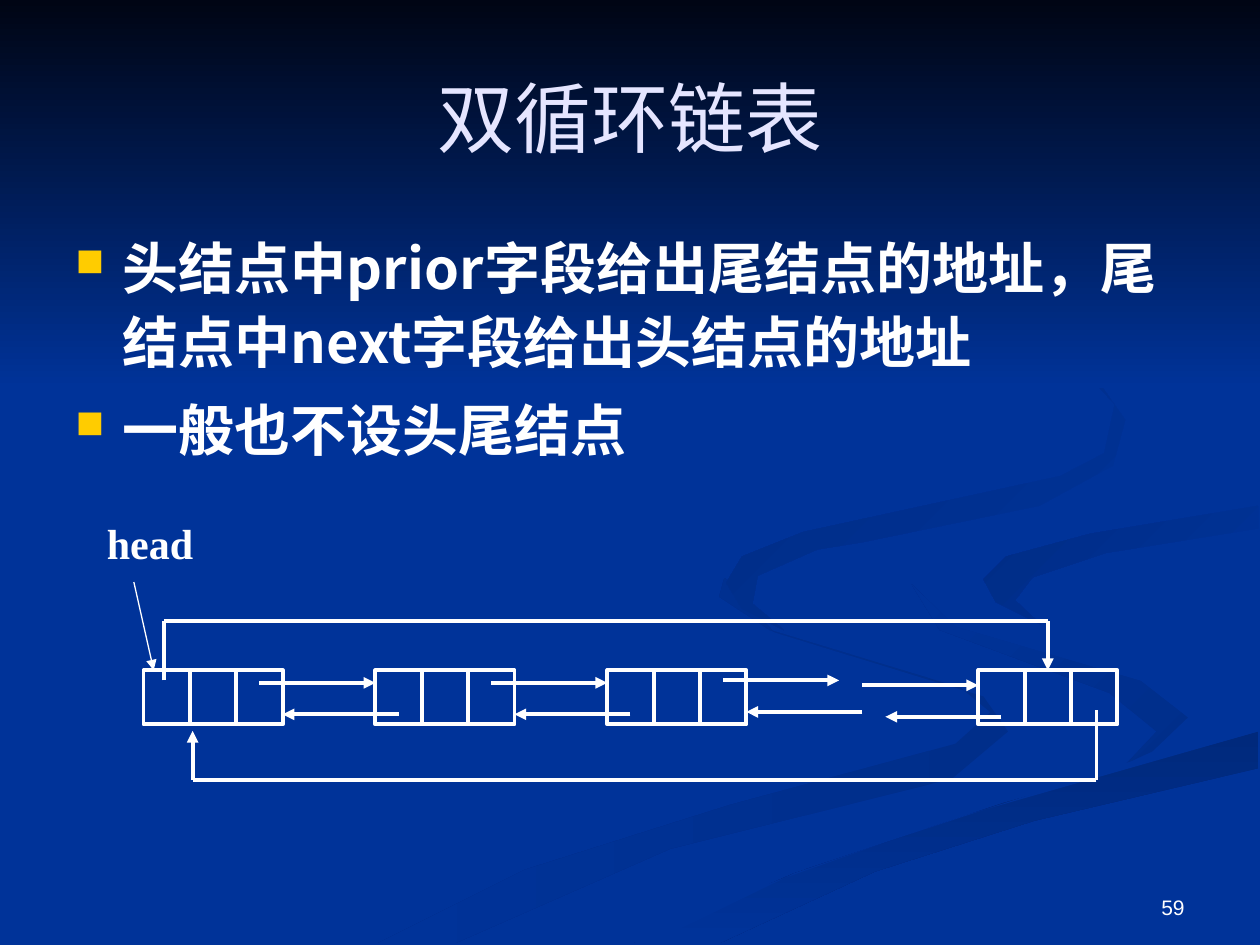
from lxml import etree
from pptx import Presentation
from pptx.dml.color import RGBColor
from pptx.enum.shapes import MSO_CONNECTOR, MSO_SHAPE
from pptx.enum.text import MSO_ANCHOR, PP_ALIGN
from pptx.oxml.ns import qn
from pptx.util import Pt

STRAIGHT = MSO_CONNECTOR.STRAIGHT
RECT = MSO_SHAPE.RECTANGLE
MIDDLE, TOP, BOTTOM = MSO_ANCHOR.MIDDLE, MSO_ANCHOR.TOP, MSO_ANCHOR.BOTTOM
LEFT, CENTER, RIGHT = PP_ALIGN.LEFT, PP_ALIGN.CENTER, PP_ALIGN.RIGHT

BLUE, WHITE = "003399", "FFFFFF"

# Ribbons, back to front: start colour, end colour, clockwise angle, corners
RIBBONS = [
    ("002E8A", BLUE, 180, [
        (562, 398), (442, 361), (414, 330), (411, 341), (440, 360), (549, 393), (566, 407),
        (546, 425), (417, 460), (300, 497), (216, 539), (260, 539), (383, 485), (544, 445),
        (576, 418)]),
    ("002E8A", BLUE, 225, [
        (679, 410), (652, 389), (546, 358), (521, 334), (537, 360), (634, 396), (661, 418),
        (644, 436), (675, 422)]),
    ("00297C", BLUE, 90, [
        (362, 539), (411, 539), (500, 498), (591, 469), (719, 439), (719, 418), (573, 459),
        (454, 499)]),
    (BLUE, BLUE, 0, [
        (522, 334), (546, 358), (652, 389), (679, 410), (656, 432), (507, 481), (343, 539),
        (374, 538), (454, 499), (551, 466), (719, 418), (719, 387), (579, 349), (562, 333),
        (584, 315), (719, 289), (719, 279), (554, 307)]),
    (BLUE, "002C85", 225, [
        (562, 331), (569, 344), (595, 357), (580, 343), (590, 330), (632, 316), (719, 302),
        (719, 289), (623, 305), (575, 318)]),
    (BLUE, "002B81", 225, [
        (492, 310), (594, 289), (636, 266), (643, 240), (622, 210), (549, 168), (609, 201),
        (637, 231), (631, 259), (606, 272), (459, 304), (424, 318), (415, 333), (424, 348),
        (448, 360), (430, 345), (433, 329), (467, 314)]),
]


def rgb(value):
    return RGBColor.from_string(value)


def shade(sp, first, last, angle):
    sp.shadow.inherit = False
    sp.line.fill.background()
    sp.fill.gradient()
    sp.fill.gradient_angle = (360 - angle) % 360
    for stop, color in zip(sp.fill.gradient_stops, (first, last)):
        stop.color.rgb = rgb(color)


def add_backdrop(s, box):
    fill = s.background.fill
    fill.solid()
    fill.fore_color.rgb = rgb(BLUE)
    for first, last, angle, corners in RIBBONS:
        builder = s.shapes.build_freeform(*corners[0], scale=Pt(1))
        builder.add_line_segments(corners[1:])
        shade(builder.convert_to_shape(), first, last, angle)
    # Dark sky behind the title
    sky = s.shapes.add_shape(RECT, *(Pt(v) for v in box))
    shade(sky, "000514", BLUE, 90)


def write(sp, box, lines, size, font, color=WHITE, bold=False, align=LEFT, anchor=TOP):
    sp.left, sp.top, sp.width, sp.height = (Pt(v) for v in box)
    tf = sp.text_frame
    tf.word_wrap = True
    tf.vertical_anchor = anchor
    tf.text = "\n".join(lines)
    for p in tf.paragraphs:
        p.alignment = align
        for r in p.runs:
            r.font.size, r.font.name, r.font.bold = Pt(size), font, bold
            r.font.color.rgb = rgb(color)
    return tf


def add_text(s, box, *args, **style):
    return write(s.shapes.add_textbox(0, 0, 0, 0), box, *args, **style)


def add_title(s, box, text):
    title = s.shapes.title
    s.shapes.element.append(title.element)  # bring in front of the backdrop
    write(title, box, [text], 44, "Times New Roman", "E5E5FF", align=CENTER, anchor=MIDDLE)


def add_bullets(s, box, lines):
    font = "Noto Sans CJK SC"
    tf = add_text(s, box, lines, 32, font, bold=True)
    for i, p in enumerate(tf.paragraphs):
        p.line_spacing = 1.1
        p.space_before = Pt(8 if i else 0)
        pPr = p._p.get_or_add_pPr()
        pPr.set("marL", str(Pt(27)))
        pPr.set("indent", str(Pt(-27)))
        color = etree.SubElement(pPr, qn("a:buClr"))
        etree.SubElement(color, qn("a:srgbClr"), val="FFCC00")
        etree.SubElement(pPr, qn("a:buSzPct"), val="70000")
        etree.SubElement(pPr, qn("a:buChar"), char="■")
        for r in p.runs:
            etree.SubElement(r._r.get_or_add_rPr(), qn("a:ea"), typeface=font)


def add_line(s, start, end, width=2.25, arrow=True):
    line = s.shapes.add_connector(STRAIGHT, *(Pt(v) for v in (*start, *end)))
    line.line.width = Pt(width)
    line.line.color.rgb = rgb(WHITE)
    spPr = line.element.spPr
    if arrow:
        etree.SubElement(spPr.find(qn("a:ln")), qn("a:tailEnd"), type="triangle")
    etree.SubElement(spPr, qn("a:effectLst"))
    return line


def add_wire(s, points):
    """Bent wire with an arrowhead on its last leg, which is returned."""
    for start, end in zip(points[:-2], points[1:-1]):
        add_line(s, start, end, arrow=False)
    return add_line(s, points[-2], points[-1])


def add_linked_list(s, box):
    left, top, width, height = box
    cell = width / 21

    def at(column, y):
        return left + column * cell, top + y

    # Nodes of three cells: prior, data, next
    for node in (0, 5, 10, 18):
        for column in range(node, node + 3):
            x, y = at(column, 0)
            sp = s.shapes.add_shape(RECT, Pt(x), Pt(y), Pt(cell), Pt(height))
            sp.shadow.inherit = False
            sp.fill.background()
            sp.line.color.rgb = rgb(WHITE)
            sp.line.width = Pt(2.25)
            if column == 19:
                tail_data = sp

    # Links between neighbours: next above, prior below
    for column, y in ((2.5, 7.2), (7.5, 7.2), (12.5, 5.8), (15.5, 8.6)):
        add_line(s, at(column, y), at(column + 2.5, y))
        add_line(s, at(column + 3, y + 18), at(column + 0.5, y + 18))

    # Wires that close the circle
    add_wire(s, [at(20.55, 23), at(20.55, 62.7), at(1.06, 62.7), at(1.06, 34.6)])
    last = add_wire(s, [at(0.44, 5.8), at(0.44, -28), at(19.5, -28), at(19.5, 0)])
    last.end_connect(tail_data, 0)

    # Head pointer
    add_text(s, (left - 28, top - 90.7, 107, 36), ["head"], 24, "Times New Roman", bold=True)
    add_line(s, (left - 5.5, top - 50.4), at(0.22, 0), width=0.75)


def main():
    prs = Presentation()
    prs.slide_width, prs.slide_height = Pt(720), Pt(540)
    s = prs.slides.add_slide(prs.slide_layouts[5])
    add_backdrop(s, (0, 0, 720, 222))
    add_title(s, (36, 21.6, 648, 90), "双循环链表")
    add_bullets(s, (36, 126, 648, 237.6), [
        "头结点中prior字段给出尾结点的地址，尾结点中next字段给出头结点的地址",
        "一般也不设头尾结点"])
    add_linked_list(s, (82, 383, 556.5, 31))
    add_text(s, (516, 492, 168, 37), ["59"], 12, "Arial", align=RIGHT, anchor=BOTTOM)
    prs.save("out.pptx")


if __name__ == "__main__":
    main()
